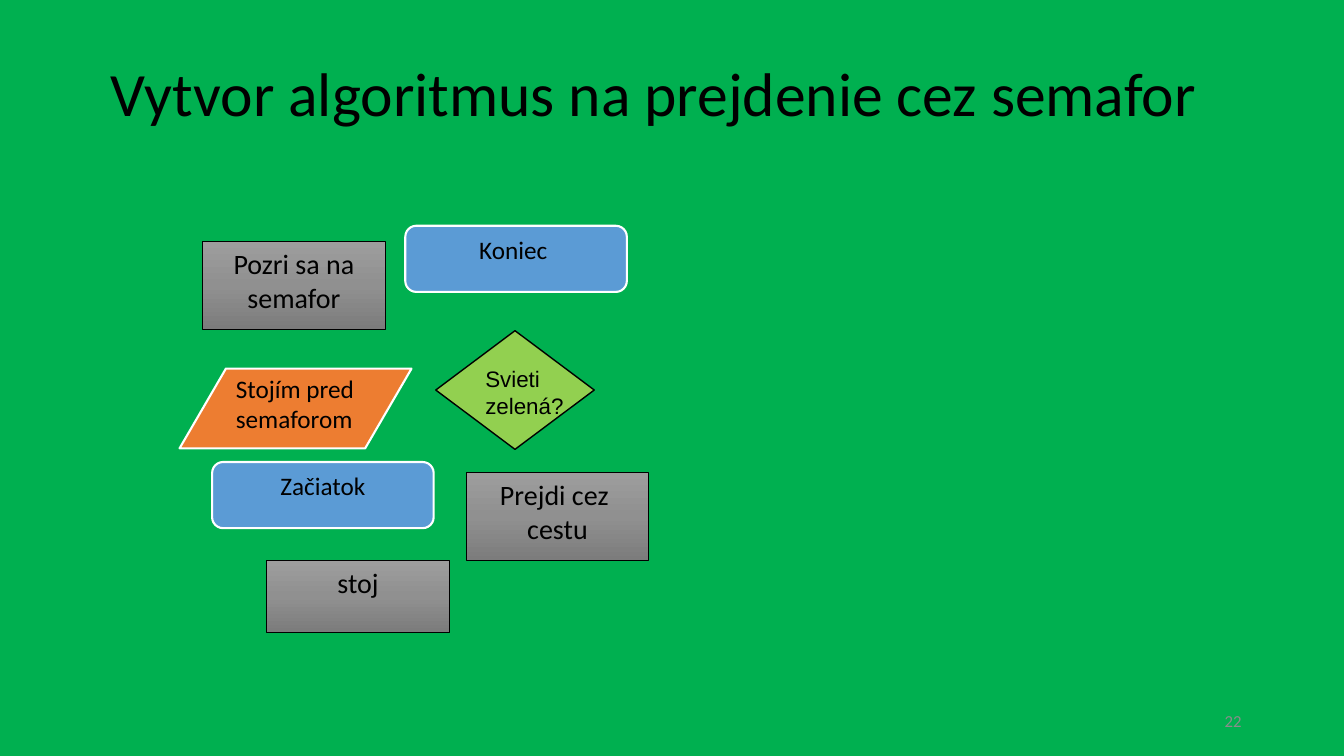
from copy import deepcopy

from pptx import Presentation
from pptx import util as u
from pptx.dml.color import RGBColor
from pptx.enum import shapes, text

PX = 9525
KIND = shapes.MSO_SHAPE
ALIGN = text.PP_ALIGN
ANCHOR = text.MSO_ANCHOR
GREY_STOPS = ((0, "9D9D9D"), (0.5, "909090"), (1, "7C7C7C"))

STYLES = {
    "terminal": dict(kind=KIND.ROUNDED_RECTANGLE, fill="5B9BD5", line="FFFFFF",
                     weight=1.5, size=18, align=ALIGN.CENTER),
    "input": dict(kind=KIND.FLOWCHART_DATA, fill="ED7D31", line="FFFFFF",
                  weight=1.5, size=18, align=ALIGN.LEFT),
    "process": dict(kind=KIND.RECTANGLE, fill=GREY_STOPS, line="000000",
                    weight=0.5, size=20, align=ALIGN.CENTER),
    "decision": dict(kind=KIND.FLOWCHART_DECISION, fill="92D050", line="000000",
                     weight=1, size=16, align=ALIGN.LEFT, name="Arial"),
}

STEPS = [
    ("terminal", (202, 440, 211, 63), ["Začiatok"]),
    ("input", (171, 351, 221, 76), ["Stojím pred", "semaforom"]),
    ("process", (193, 230, 174, 84), ["Pozri sa na", "semafor"]),
    ("decision", (415, 315, 151, 113), ["Svieti", "zelená?"]),
    ("process", (444, 450, 174, 84), ["Prejdi cez ", "cestu"]),
    ("process", (254, 534, 174, 68), ["stoj"]),
    ("terminal", (386, 215, 211, 63), ["Koniec "]),
]


def color(value):
    return RGBColor.from_string(value)


def px(area):
    return [value * PX for value in area]


def apply(target, values):
    for name, value in values.items():
        setattr(target, name, value)


def write(frame, lines, size, align, name="Calibri", ink="000000", spacing=1.0):
    for index, line in enumerate(lines):
        para = frame.add_paragraph() if index else frame.paragraphs[0]
        apply(para, dict(alignment=align, line_spacing=spacing))
        span = para.add_run()
        span.text = line
        apply(span.font, dict(name=name, size=u.Pt(size)))
        span.font.color.rgb = color(ink)


def fill_gradient(fill, box, stops):
    fill.gradient()
    fill.gradient_angle = 270
    first = box.element.spPr.xpath("a:gradFill/a:gsLst/a:gs")[0]
    first.addnext(deepcopy(first))
    for stop, (position, value) in zip(fill.gradient_stops, stops):
        stop.position = position
        stop.color.rgb = color(value)


def add_step(page, style, area, lines):
    look = dict(STYLES[style])
    box = page.shapes.add_shape(look.pop("kind"), *px(area))
    box.shadow.inherit = False
    fill = look.pop("fill")
    if isinstance(fill, str):
        box.fill.solid()
        box.fill.fore_color.rgb = color(fill)
    else:
        fill_gradient(box.fill, box, fill)
    box.line.color.rgb = color(look.pop("line"))
    box.line.width = u.Pt(look.pop("weight"))
    apply(box.text_frame, dict(word_wrap=False, vertical_anchor=ANCHOR.TOP))
    write(box.text_frame, lines, **look)


def add_label(page, area, line, **look):
    box = page.shapes.add_textbox(*px(area))
    apply(box.text_frame, dict(word_wrap=True, vertical_anchor=ANCHOR.MIDDLE))
    write(box.text_frame, [line], **look)


def main():
    deck = Presentation()
    apply(deck, dict(slide_width=1280 * PX, slide_height=720 * PX))
    page = deck.slides.add_slide(deck.slide_layouts[6])
    page.background.fill.solid()
    page.background.fill.fore_color.rgb = color("00B050")
    add_label(page, (96, 24, 1088, 136), "Vytvor algoritmus na prejdenie cez semafor",
              size=44, align=ALIGN.LEFT, spacing=0.9)
    for style, area, lines in STEPS:
        add_step(page, style, area, lines)
    add_label(page, (904, 667, 288, 38), "22", size=12, align=ALIGN.RIGHT, ink="8C8C8C")
    deck.save("out.pptx")


if __name__ == "__main__":
    main()
